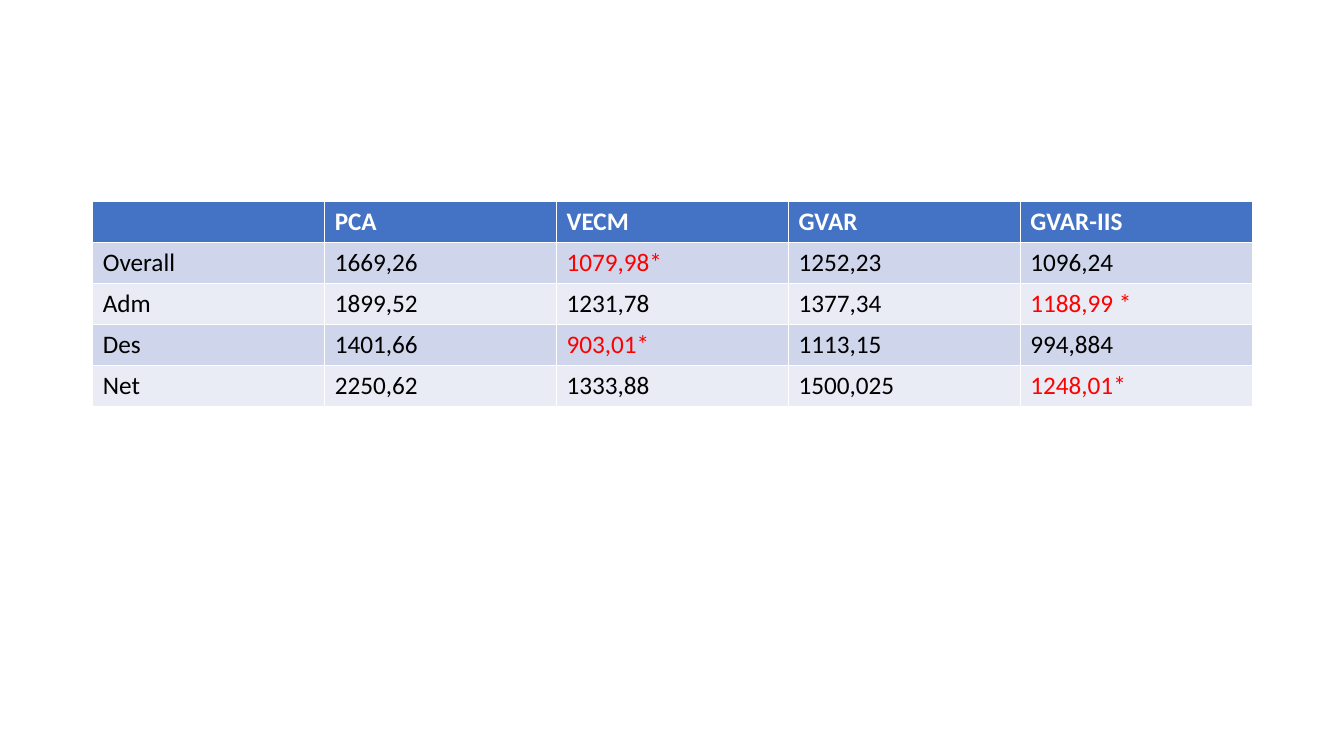
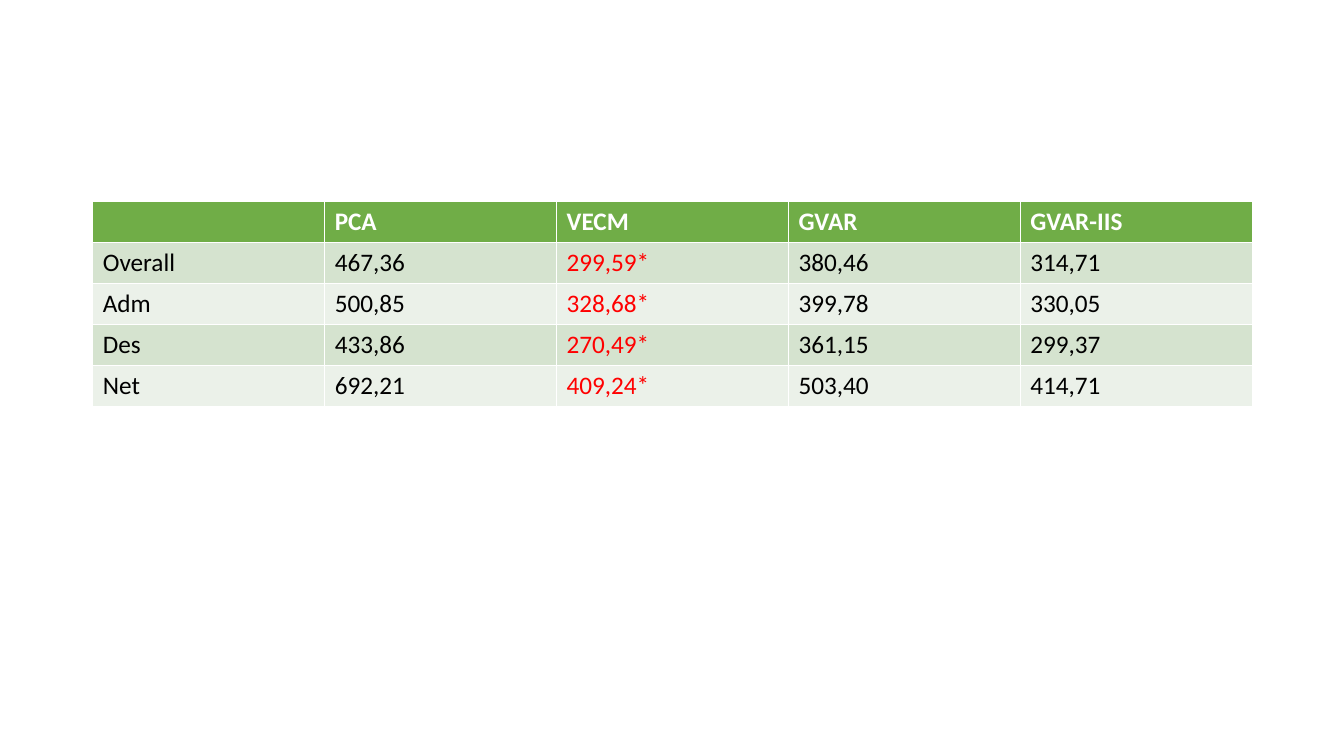
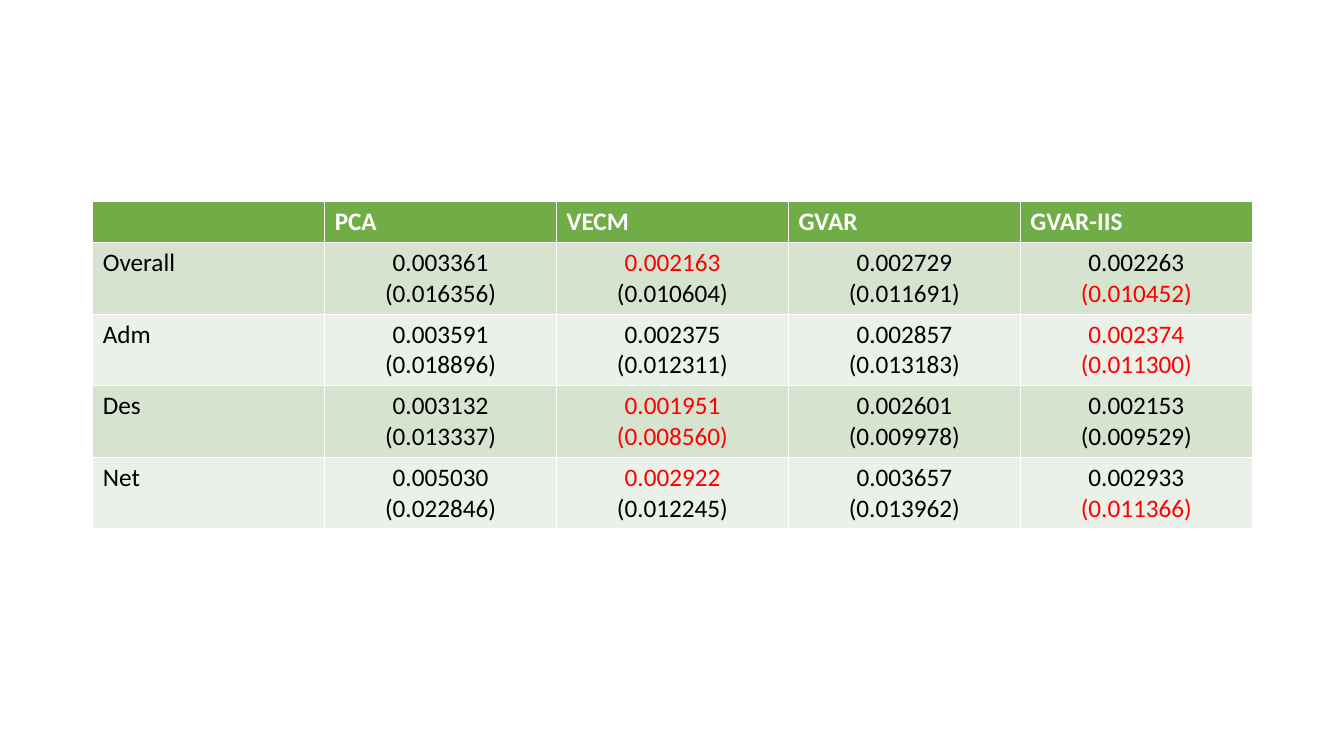
"""Three slides of forecast error tables, with the lowest value of each row in red."""
from pptx import Presentation
from pptx.dml.color import RGBColor
from pptx.enum.text import PP_ALIGN
from pptx.util import Inches, Pt

BLUE = RGBColor(0x44, 0x72, 0xC4)
BLUE_BANDS = (RGBColor(0xCF, 0xD5, 0xEA), RGBColor(0xE9, 0xEB, 0xF5))
GREEN = RGBColor(0x70, 0xAD, 0x47)
GREEN_BANDS = (RGBColor(0xD5, 0xE3, 0xCF), RGBColor(0xEB, 0xF1, 0xE9))
WHITE = RGBColor(0xFF, 0xFF, 0xFF)
BLACK = RGBColor(0x00, 0x00, 0x00)
RED = RGBColor(0xFF, 0x00, 0x00)

HEADER = ["", "PCA", "VECM", "GVAR", "GVAR-IIS"]
ROW_H = 0.406
TALL_ROW_H = 0.7

TABLES = [
    (BLUE, BLUE_BANDS, ROW_H, PP_ALIGN.LEFT, [
        ["Overall", "1669,26", "1079,98*", "1252,23", "1096,24"],
        ["Adm", "1899,52", "1231,78", "1377,34", "1188,99 *"],
        ["Des", "1401,66", "903,01*", "1113,15", "994,884"],
        ["Net", "2250,62", "1333,88", "1500,025", "1248,01*"],
    ]),
    (GREEN, GREEN_BANDS, ROW_H, PP_ALIGN.LEFT, [
        ["Overall", "467,36", "299,59*", "380,46", "314,71"],
        ["Adm", "500,85", "328,68*", "399,78", "330,05"],
        ["Des", "433,86", "270,49*", "361,15", "299,37"],
        ["Net", "692,21", "409,24*", "503,40", "414,71"],
    ]),
    (GREEN, GREEN_BANDS, TALL_ROW_H, PP_ALIGN.CENTER, [
        ["Overall", "0.003361\n(0.016356)", "0.002163\n(0.010604)",
         "0.002729\n(0.011691)", "0.002263\n(0.010452)"],
        ["Adm", "0.003591\n(0.018896)", "0.002375\n(0.012311)",
         "0.002857\n(0.013183)", "0.002374\n(0.011300)"],
        ["Des", "0.003132\n(0.013337)", "0.001951\n(0.008560)",
         "0.002601\n(0.009978)", "0.002153\n(0.009529)"],
        ["Net", "0.005030\n(0.022846)", "0.002922\n(0.012245)",
         "0.003657\n(0.013962)", "0.002933\n(0.011366)"],
    ]),
]


def number(text):
    return float(text.strip("()* ").replace(",", "."))


def fill_cell(cell, text, fill, color, bold=False, align=PP_ALIGN.LEFT):
    cell.fill.solid()
    cell.fill.fore_color.rgb = fill
    cell.text = text
    for p in cell.text_frame.paragraphs:
        p.alignment = align
        p.font.name = "Calibri"
        p.font.size = Pt(18)
        p.font.bold = bold
        p.font.color.rgb = color


prs = Presentation()
prs.slide_width = Inches(13.33)
prs.slide_height = Inches(7.5)

for header_fill, bands, row_h, align, rows in TABLES:
    s = prs.slides.add_slide(prs.slide_layouts[6])
    height = ROW_H + row_h * len(rows)
    table = s.shapes.add_table(len(rows) + 1, len(HEADER), Inches(0.92), Inches(2),
                               Inches(11.5), Inches(height)).table
    table.rows[0].height = Inches(ROW_H)
    for c, text in enumerate(HEADER):
        fill_cell(table.cell(0, c), text, header_fill, WHITE, bold=True)

    for r, (label, *values) in enumerate(rows, start=1):
        table.rows[r].height = Inches(row_h)
        band = bands[(r - 1) % 2]
        fill_cell(table.cell(r, 0), label, band, BLACK)
        lines = zip(*(value.split("\n") for value in values))
        lowest = [min(line, key=number) for line in lines]
        for c, value in enumerate(values, start=1):
            cell = table.cell(r, c)
            fill_cell(cell, value, band, BLACK, align=align)
            for p, low in zip(cell.text_frame.paragraphs, lowest):
                if p.text == low:
                    p.font.color.rgb = RED

prs.save("out.pptx")
